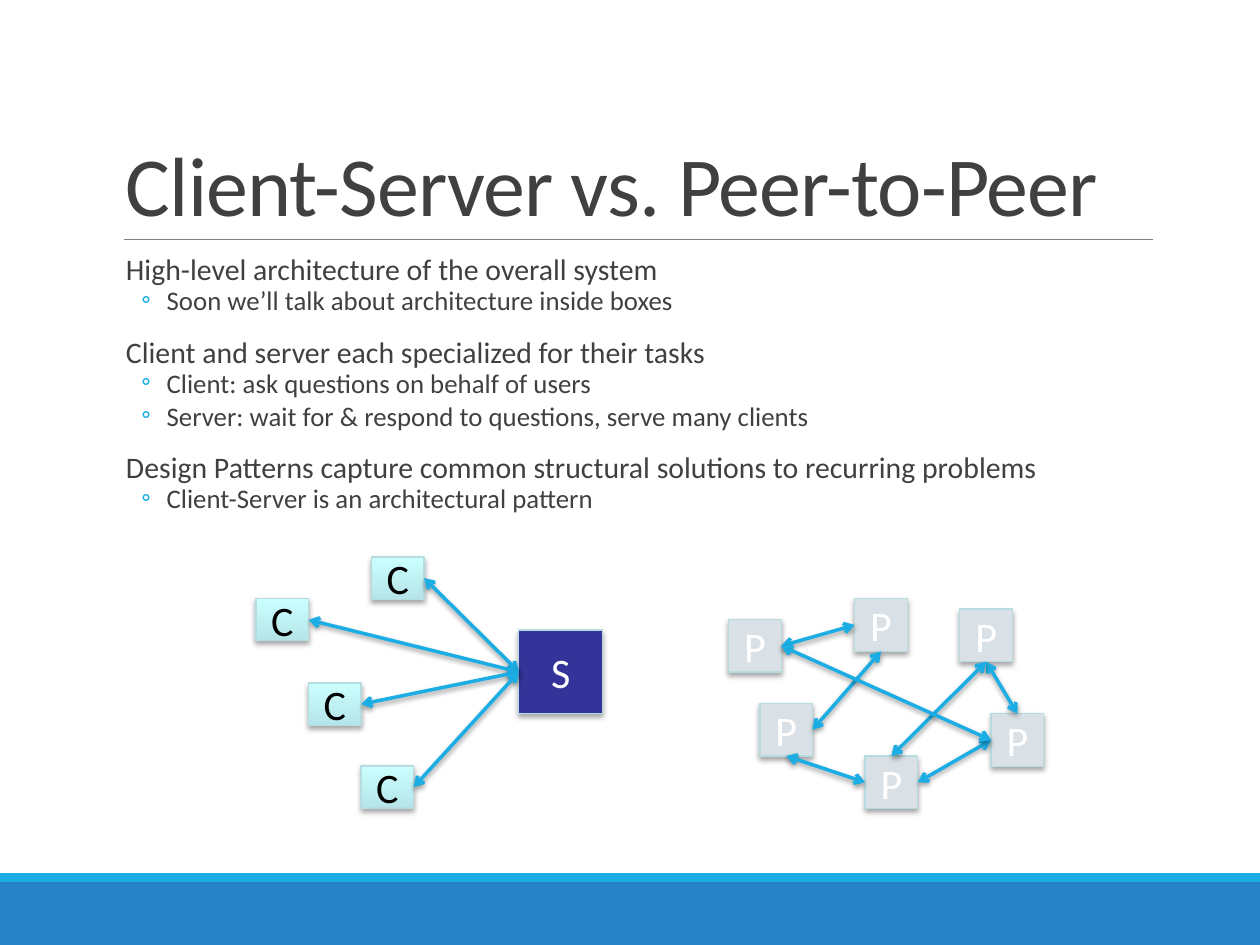
"""Build the slide comparing client-server and peer-to-peer architectures."""
from lxml.etree import SubElement
from pptx import Presentation
from pptx.dml.color import RGBColor
from pptx.enum.shapes import MSO_CONNECTOR, MSO_SHAPE
from pptx.enum.text import MSO_ANCHOR, PP_ALIGN
from pptx.oxml.ns import qn
from pptx.util import Cm, Pt

WHITE = RGBColor(0xFF, 0xFF, 0xFF)
BLACK = RGBColor(0x00, 0x00, 0x00)
DARK_GRAY = RGBColor(0x40, 0x40, 0x40)
RULE_GRAY = RGBColor(0x80, 0x80, 0x80)
BLUE = RGBColor(0x26, 0x83, 0xC6)
SKY = RGBColor(0x1C, 0xAD, 0xE4)
NAVY = RGBColor(0x33, 0x33, 0x99)
PALE_GRAY = RGBColor(0xD9, 0xE0, 0xE6)
PALE_EDGE = RGBColor(0xB6, 0xDC, 0xDF)
CYAN_TOP = RGBColor(0xCB, 0xFF, 0xFF)
CYAN_BOTTOM = RGBColor(0xB5, 0xE5, 0xE9)

TOP, LEFT, BOTTOM, RIGHT = range(4)

OUTLINE = [
    ("High-level architecture of the overall system",
     ["Soon we’ll talk about architecture inside boxes"]),
    ("Client and server each specialized for their tasks",
     ["Client: ask questions on behalf of users",
      "Server: wait for & respond to questions, serve many clients"]),
    ("Design Patterns capture common structural solutions to recurring problems",
     ["Client-Server is an architectural pattern"]),
]
CLIENTS = [(7.49, 11.23), (5.16, 12.07), (6.22, 13.77), (7.28, 15.44)]
PEERS = {
    "west": (14.69, 12.49), "southwest": (15.32, 14.18), "south": (17.44, 15.24),
    "north": (17.23, 12.07), "northeast": (19.35, 12.28), "east": (19.98, 14.39),
}
PEER_LINKS = [
    ("northeast", BOTTOM, "east", TOP), ("east", LEFT, "south", RIGHT),
    ("south", TOP, "northeast", BOTTOM), ("south", LEFT, "southwest", BOTTOM),
    ("southwest", RIGHT, "north", BOTTOM), ("west", RIGHT, "north", LEFT),
    ("west", RIGHT, "east", LEFT),
]


def apply(target, values):
    """Set each named attribute of the target."""
    for name, value in values.items():
        setattr(target, name, value)


class SlideBuilder:
    """Hold the style and the current slide, and draw each kind of element."""

    font_name = "Calibri"
    heading = {"line_spacing": 0.7, "space_before": Pt(12), "space_after": Pt(2)}
    detail = {"line_spacing": 0.7, "space_before": Pt(2), "space_after": Pt(4)}

    def __init__(self, slide):
        self.slide = slide

    def add_text(self, paragraph, text, size, color):
        run = paragraph.add_run()
        run.text = text
        apply(run.font, {"name": self.font_name, "size": Pt(size)})
        run.font.color.rgb = color
        return run

    def text_frame(self, left, top, width, height, **values):
        box = self.slide.shapes.add_textbox(Cm(left), Cm(top), Cm(width), Cm(height))
        apply(box.text_frame, {"word_wrap": True, **values})
        return box.text_frame

    def title(self, text):
        frame = self.text_frame(2.29, 0.79, 20.96, 4.04, vertical_anchor=MSO_ANCHOR.BOTTOM)
        paragraph = frame.paragraphs[0]
        paragraph.line_spacing = 0.85
        run = self.add_text(paragraph, text, 48, DARK_GRAY)
        run._r.get_or_add_rPr().set("spc", "-50")

    def bullet(self, properties):
        color = SubElement(properties, qn("a:buClr"))
        SubElement(color, qn("a:srgbClr"), val=str(SKY))
        SubElement(properties, qn("a:buFont"), typeface=self.font_name)
        SubElement(properties, qn("a:buChar"), char="◦")

    def outline(self, sections):
        frame = self.text_frame(2.29, 5.13, 20.96, 5.41, margin_left=0, margin_right=0)
        lines = [(text, level) for heading, details in sections
                 for text, level in [(heading, 0)] + [(detail, 1) for detail in details]]
        for index, (text, level) in enumerate(lines):
            paragraph = frame.add_paragraph() if index else frame.paragraphs[0]
            apply(paragraph, self.detail if level else self.heading)
            if index == 0:
                paragraph.space_before = Pt(0)
            properties = paragraph._p.get_or_add_pPr()
            properties.set("marL", str(Cm(1.07 if level else 0.25)))
            properties.set("indent", str(Cm(-0.51 if level else 0)))
            if level:
                paragraph.level = level
                self.bullet(properties)
            self.add_text(paragraph, text, 15.3 if level else 17, DARK_GRAY)

    def shadow(self, element, distance, opacity):
        properties = element.spPr
        for old in properties.findall(qn("a:effectLst")):
            properties.remove(old)
        effects = SubElement(properties, qn("a:effectLst"))
        outer = SubElement(effects, qn("a:outerShdw"), blurRad=str(Pt(3.1)),
                           dist=str(Pt(distance)), dir="5400000", rotWithShape="0")
        color = SubElement(outer, qn("a:srgbClr"), val=str(BLACK))
        SubElement(color, qn("a:alpha"), val=str(opacity * 1000))

    def rectangle(self, left, top, width, height, fill):
        shape = self.slide.shapes.add_shape(
            MSO_SHAPE.RECTANGLE, Cm(left), Cm(top), Cm(width), Cm(height))
        shape.shadow.inherit = False
        if isinstance(fill, list):
            shape.fill.gradient()
            shape.fill.gradient_angle = 270
            for stop, color in zip(shape.fill.gradient_stops, fill):
                stop.color.rgb = color
        else:
            shape.fill.solid()
            shape.fill.fore_color.rgb = fill
        shape.line.fill.background()
        return shape

    def node(self, letter, position, size, fill, color):
        shape = self.rectangle(*position, *size, fill)
        shape.line.color.rgb = PALE_EDGE
        shape.line.width = Pt(0.75)
        self.shadow(shape._element, 1.8, 35)
        shape.text_frame.vertical_anchor = MSO_ANCHOR.MIDDLE
        paragraph = shape.text_frame.paragraphs[0]
        paragraph.alignment = PP_ALIGN.CENTER
        self.add_text(paragraph, letter, 24, color)
        return shape

    def line(self, start, end, color, width):
        connector = self.slide.shapes.add_connector(
            MSO_CONNECTOR.STRAIGHT, *map(Cm, start), *map(Cm, end))
        connector.line.color.rgb = color
        connector.line.width = Pt(width)
        SubElement(connector._element.spPr, qn("a:effectLst"))
        return connector

    def link(self, first, first_side, second, second_side):
        connector = self.line((0, 0), (0, 0), SKY, 2)
        connector.begin_connect(first, first_side)
        connector.end_connect(second, second_side)
        for end in ("a:headEnd", "a:tailEnd"):
            SubElement(connector.get_or_add_ln(), qn(end), type="arrow")
        self.shadow(connector._element, 1.6, 38)


def main():
    presentation = Presentation()
    apply(presentation, {"slide_width": Cm(25.4), "slide_height": Cm(19.05)})
    builder = SlideBuilder(presentation.slides.add_slide(presentation.slide_layouts[6]))

    builder.rectangle(0, 17.78, 25.4, 1.27, BLUE)
    builder.rectangle(0, 17.6, 25.4, 0.18, SKY)
    builder.line((2.49, 4.83), (23.24, 4.83), RULE_GRAY, 0.5)
    builder.title("Client-Server vs. Peer-to-Peer")
    builder.outline(OUTLINE)

    clients = [builder.node("C", position, (1.06, 0.85), [CYAN_TOP, CYAN_BOTTOM], BLACK)
               for position in CLIENTS]
    server = builder.node("S", (10.46, 12.7), (1.69, 1.69), NAVY, WHITE)
    for client in clients:
        builder.link(client, RIGHT, server, LEFT)

    peers = {name: builder.node("P", position, (1.06, 1.06), PALE_GRAY, WHITE)
             for name, position in PEERS.items()}
    for first, first_side, second, second_side in PEER_LINKS:
        builder.link(peers[first], first_side, peers[second], second_side)

    presentation.save("out.pptx")


if __name__ == "__main__":
    main()
